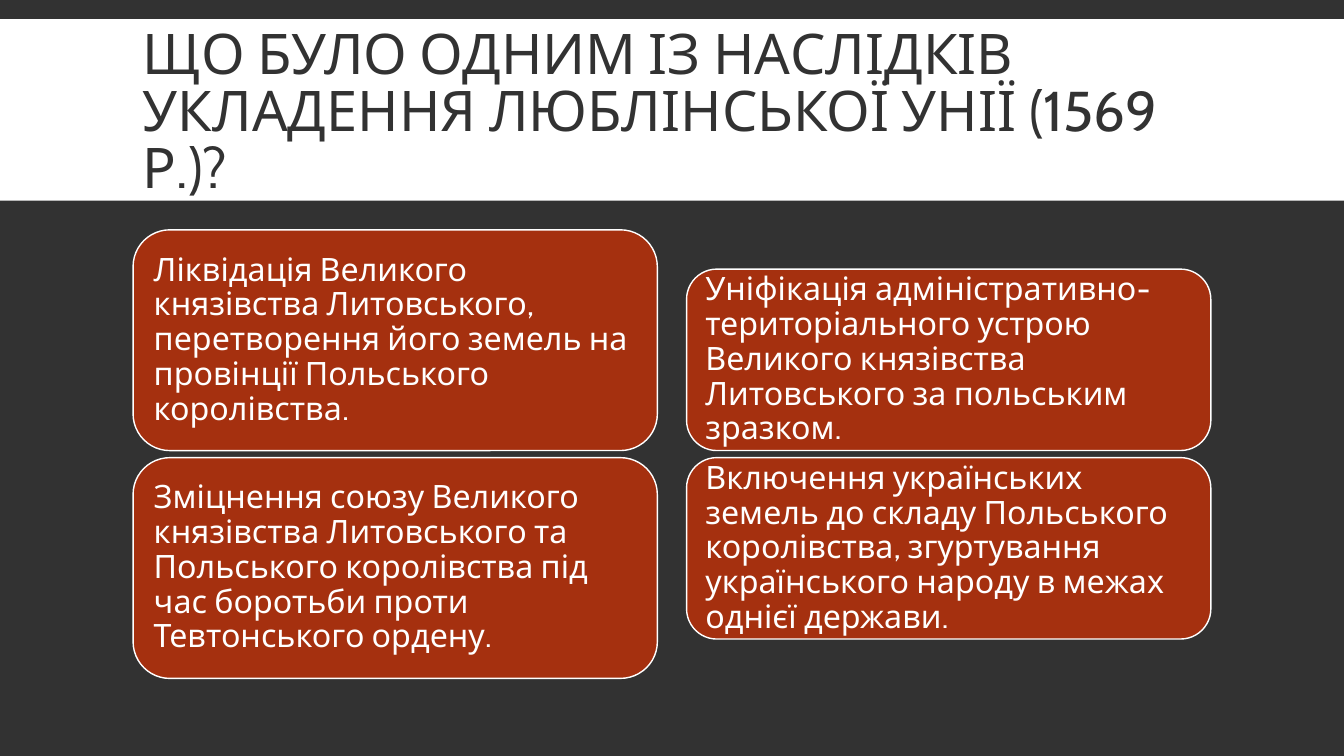
from dataclasses import dataclass

from pptx import Presentation
from pptx.dml.color import RGBColor
from pptx.enum.shapes import MSO_SHAPE as Preset
from pptx.enum.text import MSO_ANCHOR as Anchor, PP_ALIGN as Align
from pptx.util import Inches, Pt


@dataclass(frozen=True)
class Theme:
    dark: RGBColor = RGBColor(0x32, 0x32, 0x32)
    light: RGBColor = RGBColor(0xFF, 0xFF, 0xFF)
    card: RGBColor = RGBColor(0xA5, 0x30, 0x0F)
    font: str = "Cabin"
    title_size: Pt = Pt(40)
    answer_size: Pt = Pt(23)


THEME = Theme()
SLIDE_WIDTH, SLIDE_HEIGHT = 13.33, 7.5
CARD_WIDTH = 5.2
UPPER_BOTTOM, LOWER_TOP = 4.47, 4.54

QUESTION = "ЩО БУЛО ОДНИМ ІЗ НАСЛІДКІВ УКЛАДЕННЯ ЛЮБЛІНСЬКОЇ УНІЇ (1569 Р.)?"
# Each column: left edge, card height, upper and lower answer
COLUMNS = [
    (1.32, 2.19,
     "Ліквідація Великого князівства Литовського, перетворення його земель "
     "на провінції Польського королівства.",
     "Зміцнення союзу Великого князівства Литовського та Польського "
     "королівства під час боротьби проти Тевтонського ордену."),
    (6.81, 1.8,
     "Уніфікація адміністративно-територіального устрою Великого князівства "
     "Литовського за польським зразком.",
     "Включення українських земель до складу Польського королівства, "
     "згуртування українського народу в межах однієї держави."),
]


def write(frame, text, size, color, spacing):
    frame.word_wrap = True
    frame.vertical_anchor = Anchor.MIDDLE
    frame.text = text
    paragraph = frame.paragraphs[0]
    paragraph.alignment = Align.LEFT
    paragraph.line_spacing = spacing
    font = paragraph.runs[0].font
    font.name, font.size, font.color.rgb = THEME.font, size, color


def add_block(slide, preset, left, top, width, height, fill):
    block = slide.shapes.add_shape(
        preset, Inches(left), Inches(top), Inches(width), Inches(height))
    block.shadow.inherit = False
    block.fill.solid()
    block.fill.fore_color.rgb = fill
    block.line.fill.background()
    return block


def add_title(slide):
    add_block(slide, Preset.RECTANGLE, 0, 0.19, SLIDE_WIDTH, 1.8, THEME.light)
    title = slide.shapes.add_textbox(
        Inches(1.32), Inches(0.31), Inches(10.7), Inches(1.65))
    write(title.text_frame, QUESTION, THEME.title_size, THEME.dark, 0.85)


def add_answer(slide, left, top, height, text):
    card = add_block(slide, Preset.ROUNDED_RECTANGLE, left, top,
                     CARD_WIDTH, height, THEME.card)
    card.line.color.rgb = THEME.light
    card.line.width = Pt(1)
    frame = card.text_frame
    frame.margin_left = frame.margin_right = Inches(0.1)
    frame.margin_top = frame.margin_bottom = Inches(0.1)
    write(frame, text, THEME.answer_size, THEME.light, 0.9)


def main():
    deck = Presentation()
    deck.slide_width, deck.slide_height = Inches(SLIDE_WIDTH), Inches(SLIDE_HEIGHT)
    slide = deck.slides.add_slide(deck.slide_layouts[6])
    slide.background.fill.solid()
    slide.background.fill.fore_color.rgb = THEME.dark

    add_title(slide)
    for left, height, upper, lower in COLUMNS:
        add_answer(slide, left, UPPER_BOTTOM - height, height, upper)
        add_answer(slide, left, LOWER_TOP, height, lower)
    deck.save("out.pptx")


if __name__ == "__main__":
    main()
